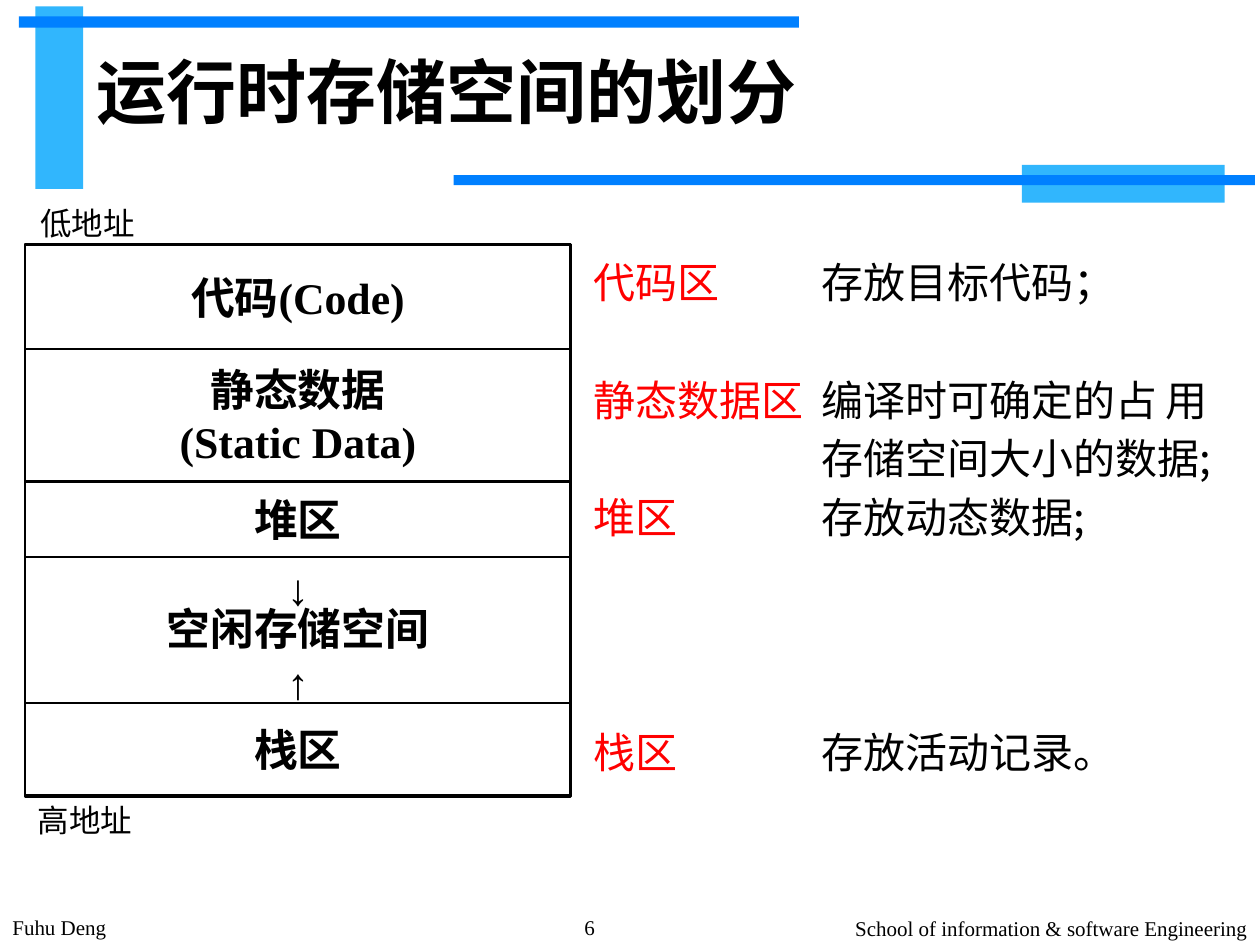
from typing import NamedTuple

from lxml.etree import SubElement
from pptx import Presentation
from pptx.dml.color import RGBColor
from pptx.enum.shapes import MSO_SHAPE
from pptx.enum.text import MSO_ANCHOR, PP_ALIGN
from pptx.oxml.ns import qn
from pptx.util import Inches, Pt

BLACK, RED = "000000", "FF0000"
SKY, BLUE = "31B6FD", "0080FF"
SERIF, SANS, CHINESE = "Times New Roman", "Arial", "Noto Sans CJK SC"
MEMORY_LEFT, MEMORY_WIDTH = 0.2, 4.33
MEMORY_TOP, MEMORY_HEIGHT = 1.94, 4.38
LINE_PITCH = 33.6


class Box(NamedTuple):
    left: float
    top: float
    width: float
    height: float

    def lengths(self):
        return [Inches(value) for value in self]


class Bar(NamedTuple):
    box: Box
    color: str


class Region(NamedTuple):
    top: float
    height: float
    text: str
    outlined: bool = True


class Label(NamedTuple):
    box: Box
    text: str
    size: float
    font: str = SERIF
    bold: bool = False
    align: PP_ALIGN = PP_ALIGN.LEFT
    anchor: MSO_ANCHOR = MSO_ANCHOR.TOP
    wrap: bool = True


class Description(NamedTuple):
    name: str
    meaning: str
    skipped_lines: int = 0


BARS = [
    Bar(Box(0.28, 0.05, 0.38, 1.45), SKY),
    Bar(Box(0.15, 0.13, 6.19, 0.09), BLUE),
    Bar(Box(8.11, 1.31, 1.61, 0.3), SKY),
    Bar(Box(3.6, 1.39, 6.36, 0.08), BLUE),
]
REGIONS = [
    Region(1.94, 0.83, "代码(Code)"),
    Region(2.77, 1.05, "静态数据\n(Static Data)"),
    Region(3.82, 0.6, "堆区"),
    Region(4.34, 0.65, "↓", outlined=False),
    Region(4.66, 0.65, "空闲存储空间", outlined=False),
    Region(5.09, 0.65, "↑", outlined=False),
    Region(5.58, 0.73, "栈区"),
]
LABELS = [
    Label(Box(0.67, 0.21, 7.72, 1.02), "运行时存储空间的划分", 40, SANS, True,
          anchor=MSO_ANCHOR.MIDDLE),
    Label(Box(0.22, 1.57, 0.96, 0.4), "低地址", 18, wrap=False),
    Label(Box(0.2, 6.31, 0.96, 0.4), "高地址", 18, "Calibri", wrap=False),
    Label(Box(0, 7.21, 4.21, 0.28), "Fuhu Deng", 12),
    Label(Box(4.21, 7.21, 0.94, 0.29), "6", 12, align=PP_ALIGN.CENTER),
    Label(Box(5.21, 7.22, 4.79, 0.28), "School of information & software Engineering", 12,
          align=PP_ALIGN.RIGHT),
]
DESCRIPTIONS = [
    Description("代码区", "存放目标代码；"),
    Description("静态数据区", "编译时可确定的占\t用", 1),
    Description("", "存储空间大小的数据;"),
    Description("堆区", "存放动态数据;"),
    Description("栈区", "存放活动记录。", 3),
]


def color(value: str) -> RGBColor:
    return RGBColor.from_string(value)


def add_rectangle(slide, box: Box, fill: str = "", line: str = ""):
    shape = slide.shapes.add_shape(MSO_SHAPE.RECTANGLE, *box.lengths())
    shape.shadow.inherit = False
    if fill:
        shape.fill.solid()
        shape.fill.fore_color.rgb = color(fill)
    else:
        shape.fill.background()
    if line:
        shape.line.color.rgb = color(line)
        shape.line.width = Pt(1.5)
    else:
        shape.line.fill.background()
    return shape


def write_text(shape, label: Label) -> None:
    frame = shape.text_frame
    frame.word_wrap = label.wrap
    frame.vertical_anchor = label.anchor
    frame.text = label.text
    for paragraph in frame.paragraphs:
        paragraph.alignment = label.align
        paragraph.font.name = label.font
        paragraph.font.size = Pt(label.size)
        paragraph.font.bold = label.bold
        paragraph.font.color.rgb = color(BLACK)


def add_label(slide, label: Label) -> None:
    write_text(slide.shapes.add_textbox(*label.box.lengths()), label)


def add_region(slide, region: Region) -> None:
    box = Box(MEMORY_LEFT, region.top, MEMORY_WIDTH, region.height)
    label = Label(box, region.text, 25, bold=True, align=PP_ALIGN.CENTER,
                  anchor=MSO_ANCHOR.MIDDLE, wrap=False)
    if region.outlined:
        write_text(add_rectangle(slide, box, line=BLACK), label)
    else:
        add_label(slide, label)


def add_tab_stops(paragraph, positions: list[float]) -> None:
    tab_list = SubElement(paragraph._p.get_or_add_pPr(), qn("a:tabLst"))
    for position in positions:
        SubElement(tab_list, qn("a:tab"), pos=str(Inches(position)), algn="l")


def add_descriptions(slide, box: Box, descriptions: list[Description]) -> None:
    frame = slide.shapes.add_textbox(*box.lengths()).text_frame
    frame.word_wrap = True
    for index, description in enumerate(descriptions):
        paragraph = frame.add_paragraph() if index else frame.paragraphs[0]
        add_tab_stops(paragraph, [1.81, 4.54])
        paragraph.line_spacing = Pt(LINE_PITCH)
        if description.skipped_lines:
            paragraph.space_before = Pt(LINE_PITCH * description.skipped_lines)
        paragraph.font.name = CHINESE
        paragraph.font.size = Pt(24)
        for text, shade in ((description.name + "\t", RED), (description.meaning, BLACK)):
            run = paragraph.add_run()
            run.text = text
            run.font.color.rgb = color(shade)


def main() -> None:
    presentation = Presentation()
    presentation.slide_width, presentation.slide_height = Inches(10), Inches(7.5)
    slide = presentation.slides.add_slide(presentation.slide_layouts[6])
    for bar in BARS:
        add_rectangle(slide, bar.box, fill=bar.color)
    for region in REGIONS:
        add_region(slide, region)
    add_rectangle(slide, Box(MEMORY_LEFT, MEMORY_TOP, MEMORY_WIDTH, MEMORY_HEIGHT), line=BLACK)
    add_descriptions(slide, Box(4.61, 1.92, 5.39, 4.38), DESCRIPTIONS)
    for label in LABELS:
        add_label(slide, label)
    presentation.save("out.pptx")


if __name__ == "__main__":
    main()
